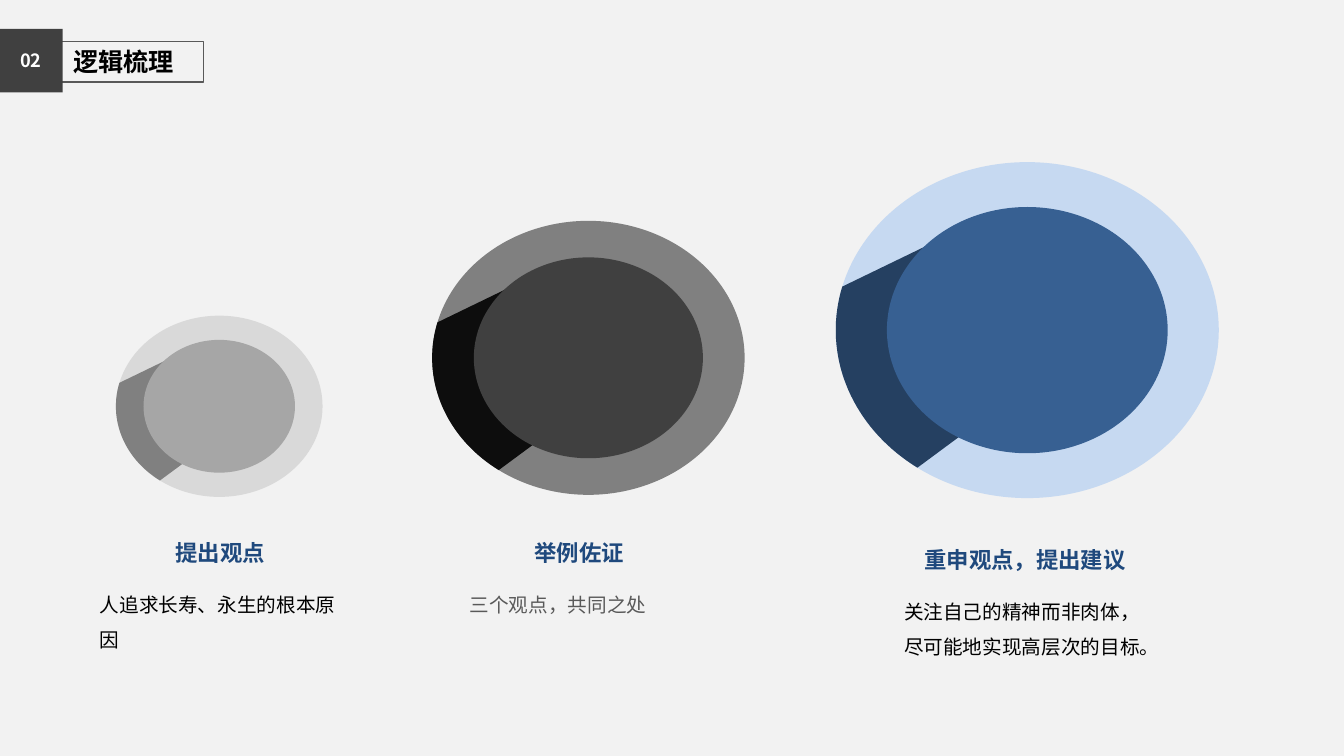
from dataclasses import dataclass
from math import cos, radians, sin

from lxml.etree import SubElement
from pptx import Presentation
from pptx.dml.color import RGBColor
from pptx.enum.shapes import MSO_SHAPE as Preset
from pptx.enum.text import MSO_ANCHOR as Anchor, MSO_AUTO_SIZE as AutoSize, PP_ALIGN as Align
from pptx.oxml.ns import qn
from pptx.util import Pt

FONT = "Noto Sans CJK SC"
HEADING_COLOR = "1F497D"
DISC_RATIO = 0.877
INNER_RATIO = 0.733
ARC_START, ARC_END = 195, 125
SHADE_INNER_CORNERS = ((0.195, 0.171), (-0.484, -0.525))


@dataclass
class Stage:
    center_x: float
    center_y: float
    width: float
    ring: str
    shade: str
    disc: str
    heading: str
    heading_x: float
    heading_y: float
    heading_width: float
    text: str
    text_x: float
    text_height: float
    text_color: str


STAGES = [
    Stage(733.8, 235.8, 273.6, "C6D9F1", "254061", "376092",
          "重申观点，提出建议", 645.8, 383.2, 172.8,
          "关注自己的精神而非肉体，尽可能地实现高层次的目标。", 631.4, 64.8, "000000"),
    Stage(420.3, 255.6, 223.2, "808080", "0D0D0D", "404040",
          "举例佐证", 367.2, 377.8, 92.9,
          "三个观点，共同之处", 321.1, 39.6, "595959"),
    Stage(156.6, 290.2, 147.6, "D9D9D9", "808080", "A6A6A6",
          "提出观点", 110.9, 377.8, 92.9,
          "人追求长寿、永生的根本原因", 56.9, 64.8, "000000"),
]


def paint(fill, color: str) -> None:
    fill.solid()
    fill.fore_color.rgb = RGBColor.from_string(color)


def place(shape, left: float, top: float, width: float, height: float) -> None:
    shape.left, shape.top = Pt(left), Pt(top)
    shape.width, shape.height = Pt(width), Pt(height)


def finish(shape, color: str) -> None:
    shape.shadow.inherit = False
    paint(shape.fill, color)
    shape.line.fill.background()


def write(shape, text: str, size: float, color: str, bold: bool, align: Align,
          anchor: Anchor, insets: tuple[float, float], wrap: bool = True,
          spacing: float = 1.0) -> None:
    frame = shape.text_frame
    frame.text = text
    frame.word_wrap = wrap
    frame.auto_size = AutoSize.NONE
    frame.vertical_anchor = anchor
    frame.margin_left = frame.margin_right = Pt(insets[0])
    frame.margin_top = frame.margin_bottom = Pt(insets[1])
    para = frame.paragraphs[0]
    para.alignment = align
    para.line_spacing = spacing
    font = para.font
    font.name, font.size, font.bold = FONT, Pt(size), bold
    paint(font.fill, color)
    defaults = para._p.pPr.find(qn("a:defRPr"))
    SubElement(defaults, qn("a:ea")).set("typeface", FONT)


def add_disc(page, stage: Stage, scale: float, color: str) -> None:
    width = stage.width * scale
    height = width * DISC_RATIO
    disc = page.shapes.add_shape(
        Preset.OVAL, Pt(stage.center_x - width / 2), Pt(stage.center_y - height / 2),
        Pt(width), Pt(height))
    finish(disc, color)


def add_shade(page, stage: Stage) -> None:
    radius_x = stage.width / 2
    radius_y = radius_x * DISC_RATIO
    arc = [(cos(radians(angle)), sin(radians(angle)))
           for angle in range(ARC_START, ARC_END - 1, -2)]
    points = [(Pt(stage.center_x + x * radius_x), Pt(stage.center_y + y * radius_y))
              for x, y in (*arc, *SHADE_INNER_CORNERS)]
    builder = page.shapes.build_freeform(*points[0])
    builder.add_line_segments(points[1:], close=True)
    finish(builder.convert_to_shape(), color=stage.shade)


def add_text(page, left: float, top: float, width: float, height: float):
    return page.shapes.add_textbox(Pt(left), Pt(top), Pt(width), Pt(height))


def add_stage(page, stage: Stage) -> None:
    add_disc(page, stage, 1, stage.ring)
    add_shade(page, stage)
    add_disc(page, stage, INNER_RATIO, stage.disc)
    body = add_text(page, stage.text_x, stage.heading_y + 29.8, 201.6, stage.text_height)
    write(body, stage.text, 14, stage.text_color, False, Align.LEFT, Anchor.TOP,
          (14.4, 7.2), spacing=1.5)
    heading = add_text(page, stage.heading_x, stage.heading_y, stage.heading_width, 33.8)
    write(heading, stage.heading, 16, HEADING_COLOR, True, Align.CENTER, Anchor.TOP,
          (14.4, 7.2), wrap=False)


def add_header(page) -> None:
    title = page.shapes.title
    place(title, 37.4, 29.6, 108, 29)
    write(title, "逻辑梳理", 18, "000000", True, Align.LEFT, Anchor.MIDDLE, (14.8, 3.6))
    paint(title.line.fill, "595959")
    title.line.width = Pt(1)
    number = page.shapes.add_shape(Preset.RECTANGLE, Pt(-0.7), Pt(20.6), Pt(45.4), Pt(45.4))
    finish(number, "404040")
    write(number, "02", 13, "FFFFFF", True, Align.CENTER, Anchor.MIDDLE, (7.2, 3.6))


def main() -> None:
    deck = Presentation()
    deck.slide_width, deck.slide_height = Pt(960), Pt(540)
    page = deck.slides.add_slide(deck.slide_layouts.get_by_name("Title Only"))
    paint(page.background.fill, "F2F2F2")
    for stage in STAGES:
        add_stage(page, stage)
    add_header(page)
    deck.save("out.pptx")


if __name__ == "__main__":
    main()
